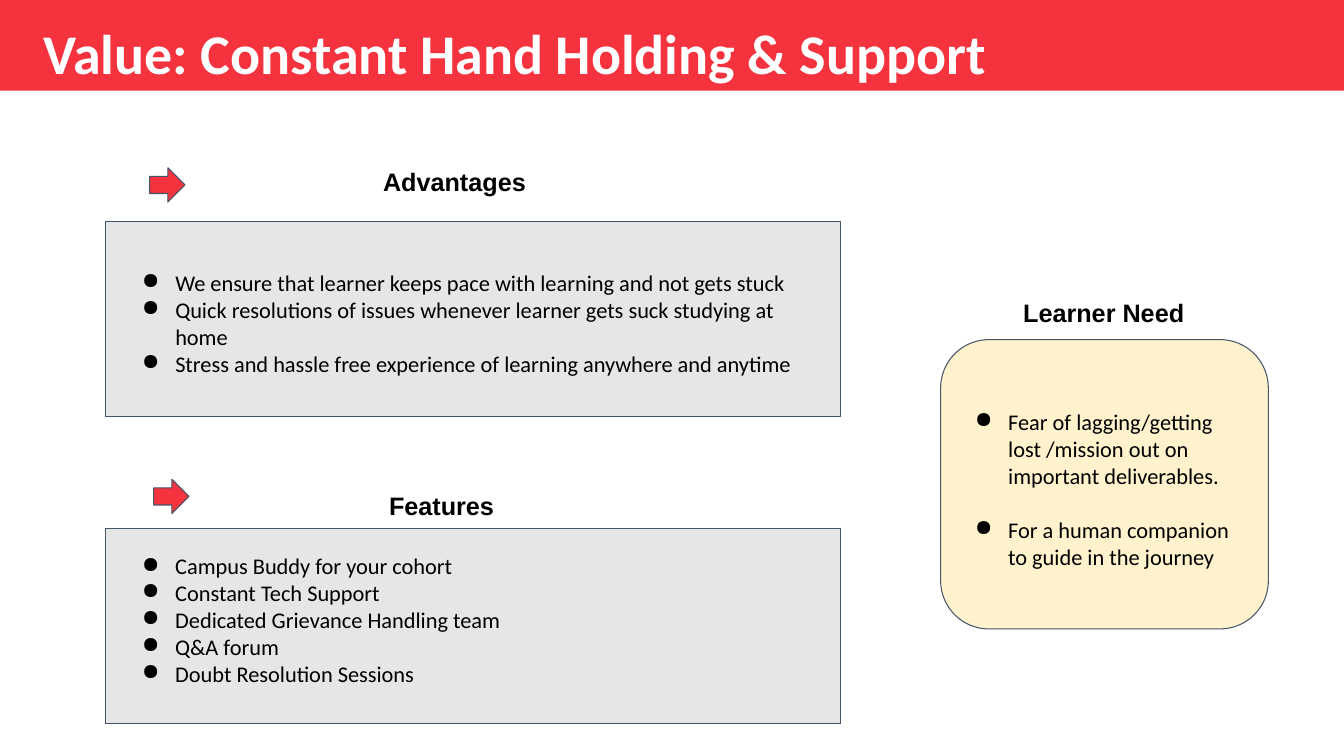
"""Builds the slide on the value of constant hand holding and support."""
from lxml import etree
from pptx import Presentation
from pptx import util as u
from pptx.dml.color import RGBColor
from pptx.enum import shapes, text
from pptx.oxml.ns import qn

RED = RGBColor(0xF4, 0x33, 0x3F)
GREY = RGBColor(0xE7, 0xE6, 0xE6)
CREAM = RGBColor(0xFF, 0xF2, 0xCC)
SLATE = RGBColor(0x44, 0x54, 0x6A)
BLACK = RGBColor(0, 0, 0)
WHITE = RGBColor(0xFF, 0xFF, 0xFF)

deck = Presentation()
deck.slide_width, deck.slide_height = u.Inches(13.33), u.Inches(7.5)
slide = deck.slides.add_slide(deck.slide_layouts[6])
X, Y = deck.slide_width / 100, deck.slide_height / 100


def add_panel(kind, left, top, width, height, fill, line=SLATE):
    """Add a filled shape placed in percent of the slide."""
    panel = slide.shapes.add_shape(
        kind, int(left * X), int(top * Y), int(width * X), int(height * Y))
    panel.shadow.inherit = False
    panel.fill.solid()
    panel.fill.fore_color.rgb = fill
    if line is None:
        panel.line.fill.background()
    else:
        panel.line.color.rgb = line
        panel.line.width = u.Pt(0.75)


def add_text(left, top, width, height, lines, size, font, bold=False,
             color=BLACK, inset=0.1, bullets=False, gap=0, spacing=None):
    """Add a text box placed in percent of the slide, one paragraph a line."""
    frame = slide.shapes.add_textbox(
        int(left * X), int(top * Y), int(width * X), int(height * Y)).text_frame
    frame.word_wrap = True
    frame.vertical_anchor = text.MSO_ANCHOR.TOP
    frame.margin_top = frame.margin_bottom = u.Inches(inset)
    for number, line in enumerate(lines):
        paragraph = frame.add_paragraph() if number else frame.paragraphs[0]
        paragraph.text = line
        if number and gap:
            paragraph.space_before = u.Pt(gap)
        if spacing:
            paragraph.line_spacing = spacing
        if bullets:
            props = paragraph._p.get_or_add_pPr()
            props.set("marL", str(u.Inches(0.5)))
            props.set("indent", str(u.Inches(-0.33)))
            etree.SubElement(props, qn("a:buChar"), char="●")
        paragraph.font.size = u.Pt(size)
        paragraph.font.name = font
        paragraph.font.bold = bold
        paragraph.font.color.rgb = color


PRESET = shapes.MSO_SHAPE
add_panel(PRESET.RECTANGLE, 0, 0, 100, 12, RED, line=None)
add_text(2.48, 2.8, 85.5, 9.6, ["Value: Constant Hand Holding & Support"], 40,
         "Calibri", bold=True, color=WHITE, inset=0.05, spacing=0.9)

for panel_top in (29.33, 69.87):
    add_panel(PRESET.RECTANGLE, 7.88, panel_top, 54.7, 25.8, GREY)
add_panel(PRESET.ROUNDED_RECTANGLE, 69.99, 44.93, 24.38, 38.27, CREAM)
for arrow_left, arrow_top in ((11.14, 22.2), (11.44, 63.4)):
    add_panel(PRESET.RIGHT_ARROW, arrow_left, arrow_top, 2.63, 4.53, RED)

headings = [
    ("Advantages", 27.76, 20.67, 20.7),
    ("Features", 28.21, 63.47, 9.83),
    ("Learner Need", 75.39, 38, 16.88),
]
for heading, left, top, width in headings:
    add_text(left, top, width, 6.67, [heading], 18, "Arial", bold=True)

advantages = [
    "We ensure that learner keeps pace with learning and not gets stuck",
    "Quick resolutions of issues whenever learner gets suck studying at home",
    "Stress and hassle free experience of learning anywhere and anytime",
]
features = [
    "Campus Buddy for your cohort",
    "Constant Tech Support",
    "Dedicated Grievance Handling team",
    "Q&A forum",
    "Doubt Resolution Sessions",
]
needs = [
    "Fear of lagging/getting lost /mission out on important deliverables.",
    "For a human companion to guide in the journey",
]
bullet_lists = [
    (advantages, 8.55, 34.27, 52.51, 17.07, 0),
    (features, 8.55, 71.73, 48.69, 23.2, 0),
    (needs, 70.52, 52.67, 22.81, 27.87, 19.5),
]
for points, left, top, width, height, gap in bullet_lists:
    add_text(left, top, width, height, points, 16, "Calibri", bullets=True, gap=gap)

deck.save("out.pptx")
